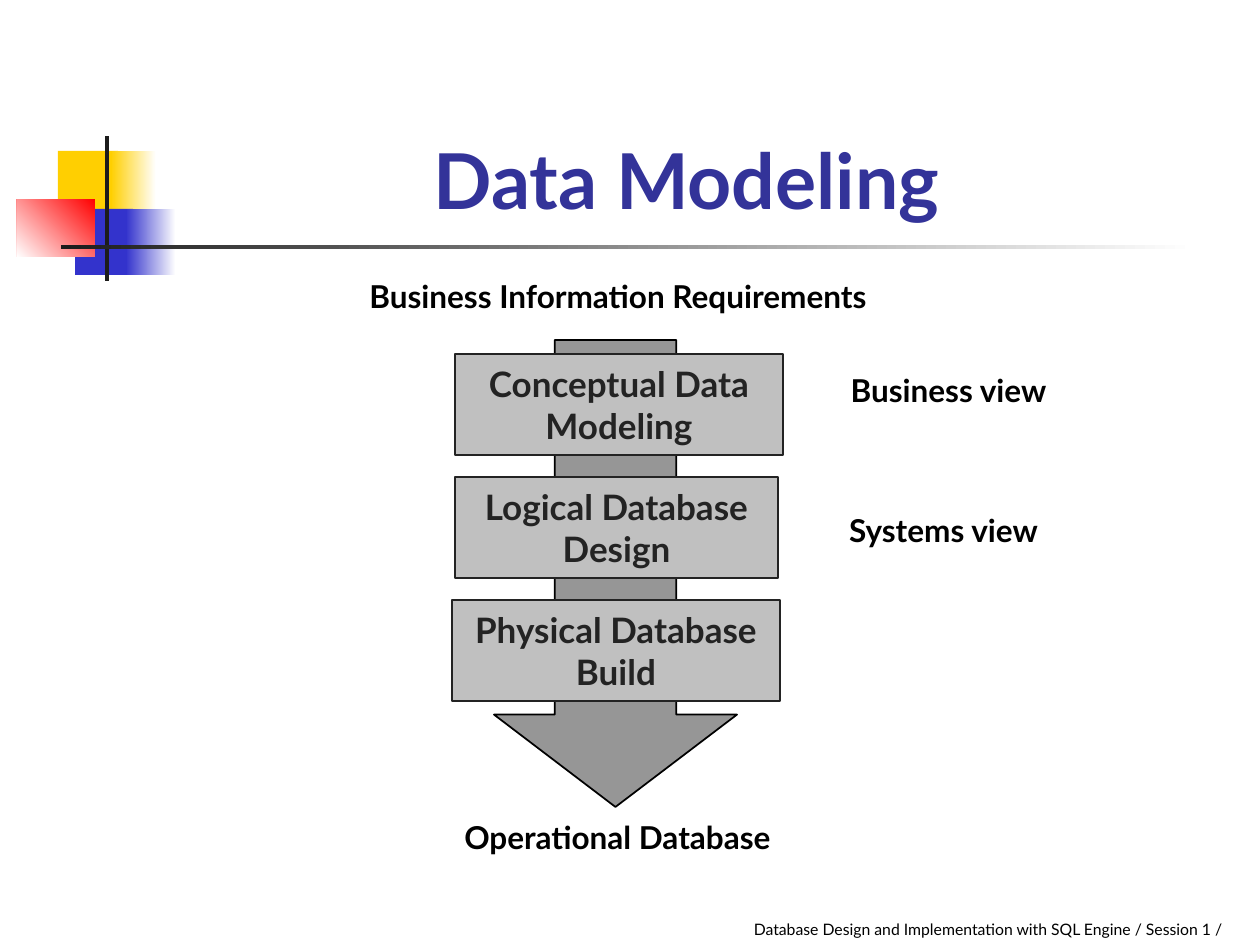
from dataclasses import dataclass
from typing import Any

from pptx import Presentation
from pptx.dml.color import RGBColor
from pptx.enum.shapes import MSO_SHAPE
from pptx.enum.text import MSO_ANCHOR, MSO_AUTO_SIZE, PP_ALIGN
from pptx.util import Emu, Pt

PX_PER_INCH = 126


def px(length):
    return Emu(round(length * 914400 / PX_PER_INCH))


def rgb(hex_colour):
    return RGBColor.from_string(hex_colour)


def write(frame, text, *, font, size, colour="000000", bold=True,
          align=PP_ALIGN.CENTER, anchor=MSO_ANCHOR.TOP, inset=(8, 4)):
    """Fill a text frame with one formatted paragraph; inset is (sides, top and bottom)."""
    frame.word_wrap = True
    frame.auto_size = MSO_AUTO_SIZE.NONE
    frame.vertical_anchor = anchor
    frame.margin_left = frame.margin_right = px(inset[0])
    frame.margin_top = frame.margin_bottom = px(inset[1])
    paragraph = frame.paragraphs[0]
    paragraph.alignment = align
    run = paragraph.add_run()
    run.text = text
    run.font.name = font
    run.font.size = Pt(size)
    run.font.bold = bold
    run.font.color.rgb = rgb(colour)


@dataclass
class SlideBuilder:
    slide: Any
    font: str = "Lato"
    ink: str = "232323"
    box_fill: str = "C0C0C0"
    arrow_fill: str = "969696"
    title_colour: str = "333399"

    def shape(self, preset, box, fill, line=None):
        shape = self.slide.shapes.add_shape(preset, *map(px, box))
        shape.shadow.inherit = False
        shape.fill.solid()
        shape.fill.fore_color.rgb = rgb(fill)
        if line:
            shape.line.color.rgb = rgb(line)
            shape.line.width = Pt(1)
        else:
            shape.line.fill.background()
        return shape

    def fade(self, box, start, end, angle=180):
        """Draw a rectangle with a two-colour gradient; angle is counter-clockwise."""
        fill = self.shape(MSO_SHAPE.RECTANGLE, box, start).fill
        fill.gradient()
        fill.gradient_angle = angle
        for stop, colour in zip(fill.gradient_stops, (start, end)):
            stop.color.rgb = rgb(colour)

    def title(self, text, box):
        title = self.slide.shapes.title
        title.left, title.top, title.width, title.height = map(px, box)
        write(title.text_frame, text, font=self.font, size=44,
              colour=self.title_colour, anchor=MSO_ANCHOR.BOTTOM, inset=(13, 6))

    def label(self, text, box, size=18, **text_format):
        label = self.slide.shapes.add_textbox(*map(px, box))
        write(label.text_frame, text, font=self.font, size=size, **text_format)

    def stage(self, text, box):
        stage = self.shape(MSO_SHAPE.RECTANGLE, box, self.box_fill, self.ink)
        write(stage.text_frame, text, font=self.font, size=20,
              colour=self.ink, anchor=MSO_ANCHOR.MIDDLE)

    def down_arrow(self, box, shaft, head):
        """Draw a block arrow; shaft and head are fractions of its width."""
        arrow = self.shape(MSO_SHAPE.DOWN_ARROW, box, self.arrow_fill, "000000")
        arrow.adjustments[0] = shaft
        arrow.adjustments[1] = head


def add_emblem(builder):
    white, yellow, blue, red, dark = "FFFFFF", "FFCF01", "3333CC", "FF0000", "1C1C1C"
    builder.shape(MSO_SHAPE.RECTANGLE, (58, 151, 60, 66), yellow)
    builder.fade((111, 151, 45, 66), white, yellow)
    builder.shape(MSO_SHAPE.RECTANGLE, (75, 209, 58, 66), blue)
    builder.fade((126, 209, 50, 66), white, blue)
    builder.fade((17, 199, 78, 58), red, white, angle=225)
    builder.shape(MSO_SHAPE.RECTANGLE, (105, 136, 4, 145), dark)
    builder.fade((61, 245, 1134, 4), white, dark)


def main():
    presentation = Presentation()
    presentation.slide_width = px(1260)
    presentation.slide_height = px(945)
    title_only = presentation.slide_layouts[5]
    builder = SlideBuilder(presentation.slides.add_slide(title_only))

    add_emblem(builder)
    # The trailing space is part of the centred title line.
    builder.title("Data Modeling ", (159, 29, 1074, 202))

    builder.down_arrow((494, 340, 243, 467), shaft=0.5, head=0.38)
    stages = [
        ("Conceptual Data Modeling", 455, 328),
        ("Logical Database Design", 455, 323),
        ("Physical Database Build", 452, 328),
    ]
    first_top, pitch = 354, 123
    for index, (name, left, width) in enumerate(stages):
        builder.stage(name, (left, first_top + index * pitch, width, 101))

    builder.label("Business Information Requirements", (300, 273, 636, 54))
    builder.label("Operational Database", (423, 814, 389, 53))
    builder.label("Business view", (835, 367, 227, 47))
    builder.label("Systems view", (835, 507, 217, 47))
    builder.label(
        "Database Design and Implementation with SQL Engine / Session 1 /",
        (510, 882, 725, 63), size=9, bold=False, align=PP_ALIGN.RIGHT,
        anchor=MSO_ANCHOR.BOTTOM, inset=(13, 6))

    presentation.save("out.pptx")


if __name__ == "__main__":
    main()
